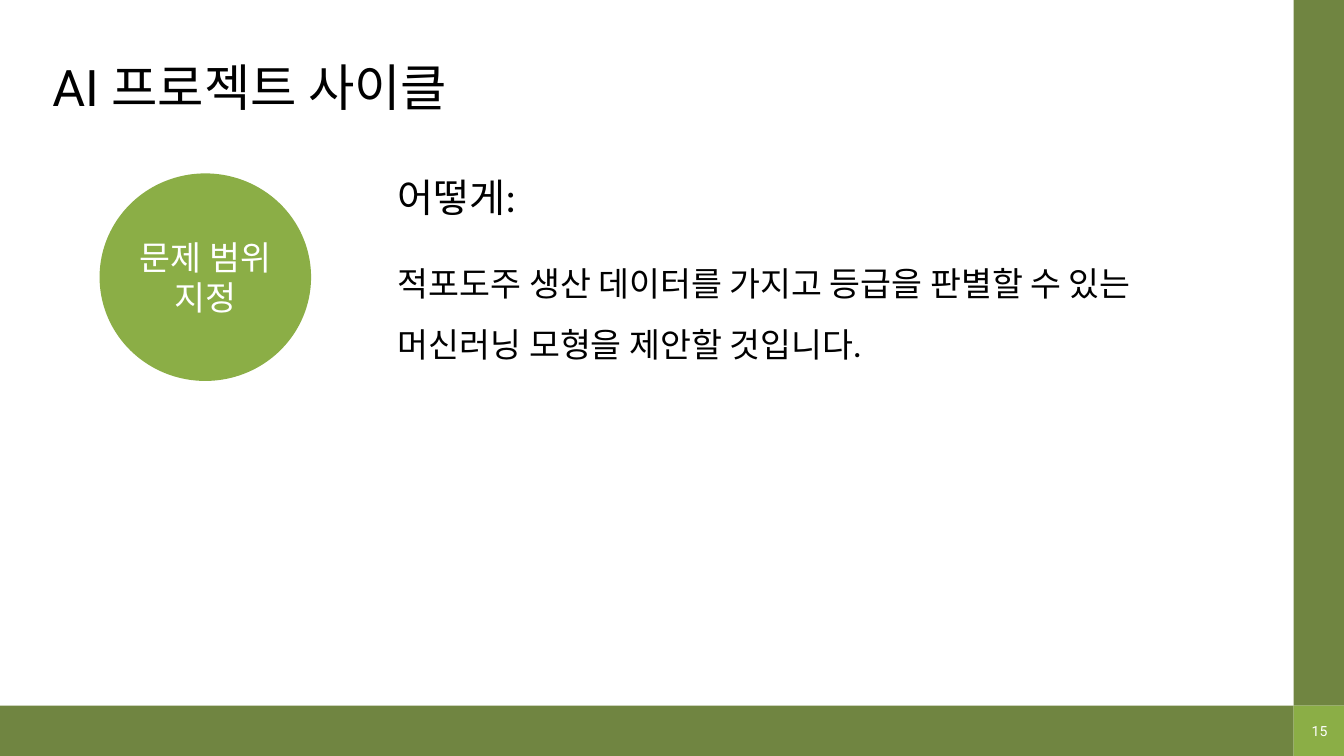
from pptx import Presentation
from pptx.dml.color import RGBColor
from pptx.enum import shapes, text
from pptx.util import Cm, Pt

WIDTH, HEIGHT, BAND = 33.87, 19.05, 1.27
OLIVE, GREEN, WHITE, BLACK = "708541", "8BAE46", "FFFFFF", "000000"


def paint(color_format, color):
    color_format.rgb = RGBColor.from_string(color)


def add_block(slide, kind, box, color):
    block = slide.shapes.add_shape(kind, *map(Cm, box))
    block.shadow.inherit = False
    block.fill.solid()
    paint(block.fill.fore_color, color)
    block.line.fill.background()


def add_label(slide, box, words, size, font, color, centered=False,
              anchor=text.MSO_ANCHOR.TOP, insets=(0.25, 0.13),
              spacing=None, wrap=True):
    frame = slide.shapes.add_textbox(*map(Cm, box)).text_frame
    frame.word_wrap = wrap
    frame.vertical_anchor = anchor
    frame.margin_left = frame.margin_right = Cm(insets[0])
    frame.margin_top = frame.margin_bottom = Cm(insets[1])
    paragraph = frame.paragraphs[0]
    paragraph.alignment = text.PP_ALIGN.CENTER if centered else text.PP_ALIGN.LEFT
    if spacing:
        paragraph.line_spacing = spacing
    run = paragraph.add_run()
    run.text = words
    run.font.size = Pt(size)
    run.font.name = font
    paint(run.font.color, color)


def main():
    deck = Presentation()
    deck.slide_width, deck.slide_height = Cm(WIDTH), Cm(HEIGHT)
    slide = deck.slides.add_slide(deck.slide_layouts[6])
    right, bottom = WIDTH - BAND, HEIGHT - BAND
    rectangle, oval = shapes.MSO_SHAPE.RECTANGLE, shapes.MSO_SHAPE.OVAL
    middle = text.MSO_ANCHOR.MIDDLE

    add_label(slide, (1.07, 0.61, 15.09, 3.33), "AI 프로젝트 사이클", 36,
              "Roboto", BLACK, anchor=middle, spacing=0.9)

    add_block(slide, rectangle, (0, bottom, right, BAND), OLIVE)
    add_block(slide, rectangle, (right, 0, BAND, bottom), OLIVE)
    add_block(slide, rectangle, (right, bottom, BAND, BAND), GREEN)
    add_label(slide, (33.05, 18.21, 0.41, 0.43), "15", 10, "Roboto", WHITE,
              centered=True, insets=(0, 0), wrap=False)

    add_block(slide, oval, (2.51, 4.37, 5.33, 5.23), GREEN)
    add_label(slide, (3.12, 5.99, 4.11, 1.98), "문제 범위 지정", 24, "Lato",
              WHITE, centered=True, anchor=middle, insets=(0.33, 0.33))

    add_label(slide, (9.78, 4.37, 20.12, 1.47), "어떻게:", 28, "Lato", BLACK,
              spacing=0.9)
    add_label(slide, (9.78, 5.99, 19.61, 1.47),
              "적포도주 생산 데이터를 가지고 등급을 판별할 수 있는 머신러닝 모형을 제안할 것입니다.",
              24, "Lato", BLACK, spacing=1.5)

    deck.save("out.pptx")


if __name__ == "__main__":
    main()
